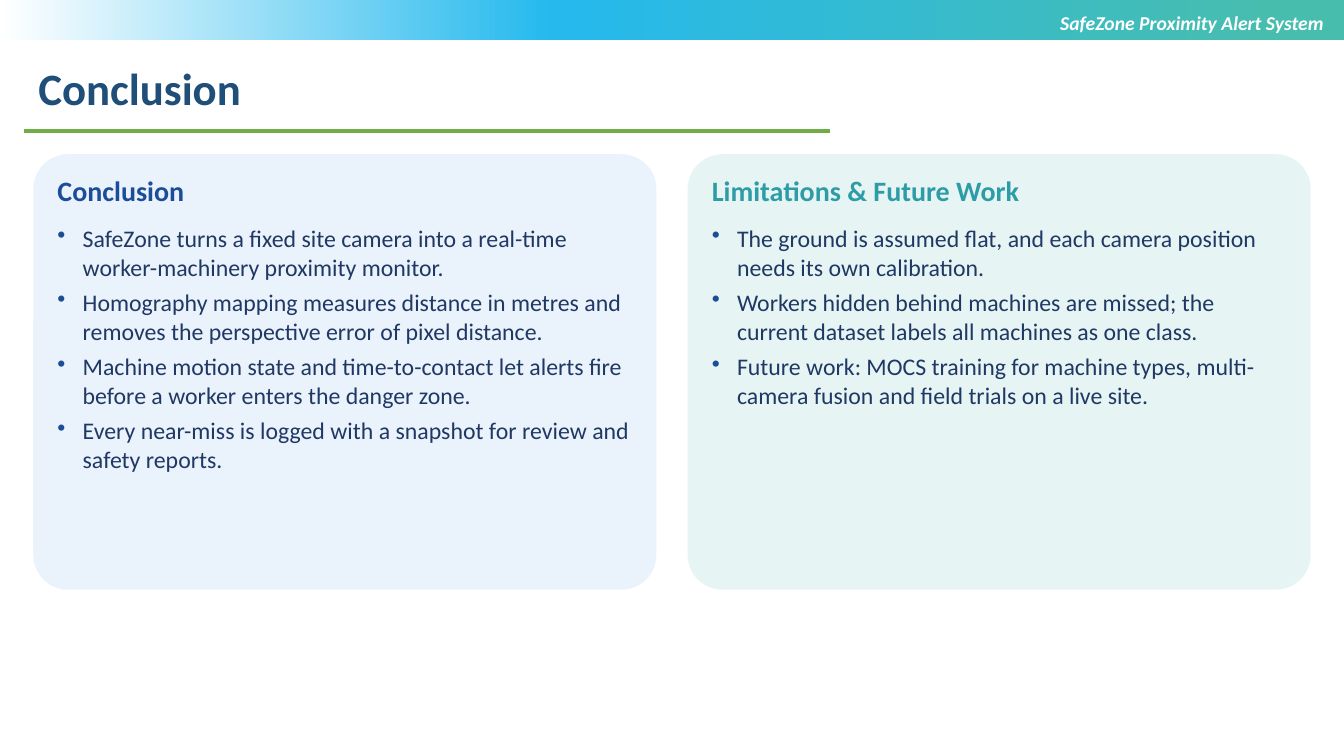
from dataclasses import dataclass

from lxml import etree
from pptx import Presentation
from pptx import util as u
from pptx.dml.color import RGBColor
from pptx.enum import shapes, text
from pptx.oxml.ns import qn

PX = 9144  # EMU in one px, 100 px to the inch


@dataclass(frozen=True)
class Theme:
    face: str = "Calibri"
    title: str = "1F4E79"
    rule: str = "70AD47"
    white: str = "FFFFFF"
    blue: str = "1C4D98"
    teal: str = "2E9CA6"
    ink: str = "1F3864"
    pale_blue: str = "EAF2FB"
    pale_teal: str = "E6F5F3"
    banner: tuple = ((5, "47BDAE"), (59, "25B9ED"), (100, "FFFFFF"))
    title_size: int = 32
    head_size: int = 20
    body_size: int = 17
    tag_size: int = 14


def px(n):
    return u.Emu(n * PX)


def rgb(code):
    return RGBColor.from_string(code)


def add_bullet(para, color, indent=25):
    props = para._p.get_or_add_pPr()
    props.set("marL", str(px(indent)))
    props.set("indent", str(-px(indent)))
    tint = etree.SubElement(props, qn("a:buClr"))
    etree.SubElement(tint, qn("a:srgbClr"), val=color)
    etree.SubElement(props, qn("a:buChar"), char="•")


def write(frame, lines, face, size, color, bold=False, italic=False,
          align=text.PP_ALIGN.LEFT, inset=None, bullet=None, gap=0):
    """Fill a text frame with one paragraph per line."""
    frame.word_wrap = True
    frame.auto_size = text.MSO_AUTO_SIZE.SHAPE_TO_FIT_TEXT
    frame.vertical_anchor = text.MSO_ANCHOR.TOP
    if inset is not None:
        frame.margin_left = frame.margin_right = px(inset)
        frame.margin_top = frame.margin_bottom = px(inset)
    for i, line in enumerate(lines):
        para = frame.paragraphs[0] if i == 0 else frame.add_paragraph()
        if bullet:
            add_bullet(para, bullet)
        para.alignment = align
        if i and gap:
            para.space_before = u.Pt(gap)
        run = para.add_run()
        run.text = line
        font = run.font
        font.name, font.size, font.bold, font.italic = face, u.Pt(size), bold, italic
        font.color.rgb = rgb(color)


class Deck:
    def __init__(self, theme):
        self.theme = theme
        self.prs = Presentation()
        self.prs.slide_width, self.prs.slide_height = px(1333), px(750)
        self.slide = self.prs.slides.add_slide(self.prs.slide_layouts[5])

    def title(self, line, x, y, w, h):
        t, box = self.theme, self.slide.shapes.title
        box.left, box.top, box.width, box.height = map(px, (x, y, w, h))
        write(box.text_frame, [line], t.face, t.title_size, t.title, bold=True)

    def label(self, lines, x, y, w, h, **style):
        box = self.slide.shapes.add_textbox(*map(px, (x, y, w, h)))
        write(box.text_frame, lines, self.theme.face, **style)

    def shape(self, kind, x, y, w, h):
        item = self.slide.shapes.add_shape(kind, *map(px, (x, y, w, h)))
        item.shadow.inherit = False
        item.line.fill.background()
        return item

    def banner(self, w, h):
        """Draw the strip that fades from right to left."""
        strip = self.shape(shapes.MSO_SHAPE.RECTANGLE, 0, 0, w, h)
        strip.fill.gradient()
        strip.fill.gradient_angle = 180
        stops = strip._element.spPr.find(".//" + qn("a:gsLst"))
        for old in list(stops):
            stops.remove(old)
        for place, color in self.theme.banner:
            stop = etree.SubElement(stops, qn("a:gs"), pos=str(place * 1000))
            etree.SubElement(stop, qn("a:srgbClr"), val=color)

    def rule(self, x, y, w):
        line = self.slide.shapes.add_connector(
            shapes.MSO_CONNECTOR.STRAIGHT, *map(px, (x, y, x + w, y)))
        line.line.color.rgb = rgb(self.theme.rule)
        line.line.width = u.Pt(2.25)
        etree.SubElement(line._element.spPr, qn("a:effectLst"))

    def card(self, x, head, points, color, fill):
        t, y, w, h = self.theme, 153, 618, 432
        panel = self.shape(shapes.MSO_SHAPE.ROUNDED_RECTANGLE, x, y, w, h)
        panel.adjustments[0] = 0.08
        panel.fill.solid()
        panel.fill.fore_color.rgb = rgb(fill)
        left, wide = x + 16, w - 33
        self.label([head], left, y + 11, wide, 49, size=t.head_size,
                   color=color, bold=True, inset=8)
        self.label(points, left, y + 61, wide, 362, size=t.body_size,
                   color=t.ink, inset=8, bullet=t.blue, gap=5)


def main():
    t = Theme()
    deck = Deck(t)
    deck.banner(1333, 40)
    deck.title("Conclusion", 28, 55, 1162, 71)
    deck.rule(24, 130, 799)
    deck.label(["SafeZone Proximity Alert System"], 350, 6, 973, 71,
               size=t.tag_size, color=t.white, bold=True, italic=True,
               align=text.PP_ALIGN.RIGHT)
    cards = (
        ("Conclusion", t.blue, t.pale_blue, [
            "SafeZone turns a fixed site camera into a real-time worker-machinery proximity monitor.",
            "Homography mapping measures distance in metres and removes the perspective error of pixel distance.",
            "Machine motion state and time-to-contact let alerts fire before a worker enters the danger zone.",
            "Every near-miss is logged with a snapshot for review and safety reports.",
        ]),
        ("Limitations & Future Work", t.teal, t.pale_teal, [
            "The ground is assumed flat, and each camera position needs its own calibration.",
            "Workers hidden behind machines are missed; the current dataset labels all machines as one class.",
            "Future work: MOCS training for machine types, multi-camera fusion and field trials on a live site.",
        ]),
    )
    for i, (head, color, fill, points) in enumerate(cards):
        deck.card(33 + 649 * i, head, points, color, fill)
    deck.prs.save("out.pptx")


if __name__ == "__main__":
    main()
